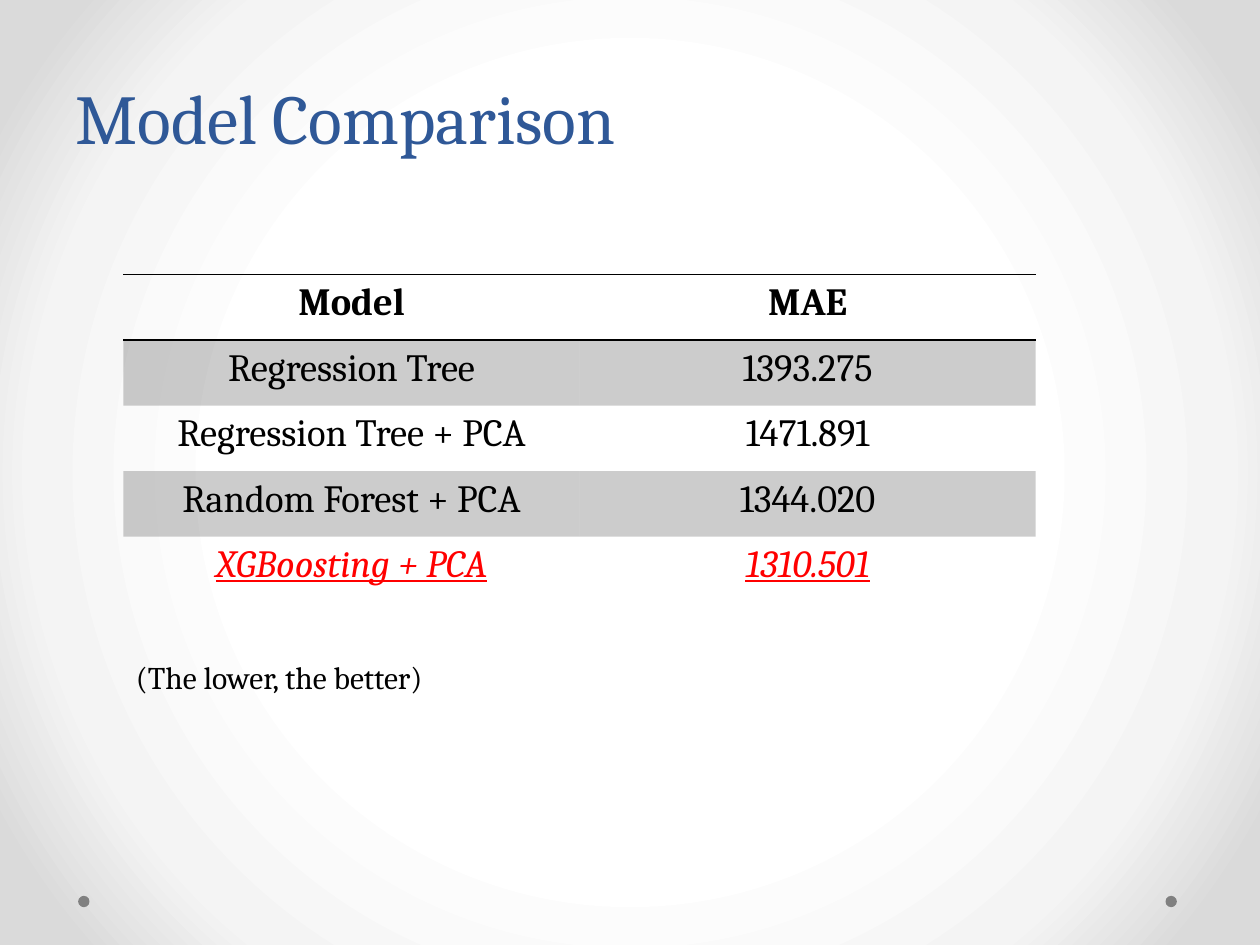
from pptx import Presentation
from pptx.dml.color import RGBColor
from pptx.enum.shapes import MSO_SHAPE
from pptx.enum.text import MSO_ANCHOR, PP_ALIGN
from pptx.oxml import parse_xml
from pptx.oxml.ns import nsdecls, qn
from pptx.util import Inches, Pt

OVAL = MSO_SHAPE.OVAL
BOTTOM = MSO_ANCHOR.BOTTOM
CENTER = PP_ALIGN.CENTER

FONT = "Cambria"
COLORS = {"title": "2F5897", "text": "000000", "best": "FF0000", "dot": "808080"}
BACKDROP = [(50, "FFFFFF"), (76, "F4F4F4"), (92, "DADADA")]
NO_STYLE = "{2D5ABB26-0587-4C30-8999-92F81FD0307C}"

TITLE = "Model Comparison"
NOTE = "(The lower, the better)"
RESULTS = [
    ("Model", "MAE"),
    ("Regression Tree", "1393.275"),
    ("Regression Tree + PCA", "1471.891"),
    ("Random Forest + PCA", "1344.020"),
    ("XGBoosting + PCA", "1310.501"),
]
COLUMN_WIDTH, ROW_HEIGHT = 3.62, 0.52
BAND_OPACITY = 20
DOT_LEFTS, DOT_TOP, DOT_SIZE = (9.25, 0.62), 7.11, 0.09


def style_text(paragraph, size, color):
    font = paragraph.runs[0].font
    font.name, font.size = FONT, Pt(size)
    font.color.rgb = RGBColor.from_string(COLORS[color])
    return font


def add_text(slide, text, box, size, color):
    frame = slide.shapes.add_textbox(*map(Inches, box)).text_frame
    frame.word_wrap = True
    frame.text = text
    style_text(frame.paragraphs[0], size, color)
    return frame


def set_backdrop(slide):
    slide.background.fill.solid()
    properties = slide.element.find(".//" + qn("p:bgPr"))
    stops = "".join(
        f'<a:gs pos="{position * 1000}"><a:srgbClr val="{color}"/></a:gs>'
        for position, color in BACKDROP
    )
    gradient = parse_xml(
        f'<a:gradFill {nsdecls("a")} rotWithShape="1"><a:gsLst>{stops}</a:gsLst>'
        '<a:path path="circle"><a:fillToRect l="50000" t="50000" r="50000" b="50000"/>'
        "</a:path></a:gradFill>"
    )
    properties.replace(properties[0], gradient)


def rule_header(cell):
    # Borders come before the fill in the cell properties
    for index, side in enumerate(("lnT", "lnB")):
        border = parse_xml(
            f'<a:{side} {nsdecls("a")} w="{Pt(1)}"><a:solidFill>'
            f'<a:srgbClr val="{COLORS["text"]}"/></a:solidFill></a:{side}>'
        )
        cell._tc.get_or_add_tcPr().insert(index, border)


def shade_band(cell):
    cell.fill.solid()
    cell.fill.fore_color.rgb = RGBColor.from_string(COLORS["text"])
    color = cell._tc.tcPr.find(".//" + qn("a:srgbClr"))
    color.append(parse_xml(f'<a:alpha {nsdecls("a")} val="{BAND_OPACITY * 1000}"/>'))


def add_results(slide):
    rows, columns = len(RESULTS), len(RESULTS[0])
    table = slide.shapes.add_table(
        rows, columns, Inches(0.98), Inches(2.18),
        Inches(columns * COLUMN_WIDTH), Inches(rows * ROW_HEIGHT),
    ).table
    table._tbl.tblPr.find(qn("a:tableStyleId")).text = NO_STYLE
    for r, result in enumerate(RESULTS):
        header, best = r == 0, r == rows - 1
        for c, value in enumerate(result):
            cell = table.cell(r, c)
            cell.text = value
            paragraph = cell.text_frame.paragraphs[0]
            paragraph.alignment = CENTER
            font = style_text(paragraph, 22, "best" if best else "text")
            font.bold, font.italic, font.underline = header, best, best
            if r % 2:
                shade_band(cell)
            else:
                cell.fill.background()
            if header:
                rule_header(cell)


def main():
    prs = Presentation()
    prs.slide_width, prs.slide_height = Inches(10), Inches(7.5)
    slide = prs.slides.add_slide(prs.slide_layouts[6])
    set_backdrop(slide)

    # Footer dots
    for left in DOT_LEFTS:
        dot = slide.shapes.add_shape(
            OVAL, *map(Inches, (left, DOT_TOP, DOT_SIZE, DOT_SIZE)))
        dot.shadow.inherit = False
        dot.fill.solid()
        dot.fill.fore_color.rgb = RGBColor.from_string(COLORS["dot"])
        dot.line.fill.background()

    # Title, results table and reading note
    title = add_text(slide, TITLE, (0.5, 0, 9, 1.31), 40, "title")
    title.vertical_anchor = BOTTOM
    title.paragraphs[0].line_spacing = Pt(58)
    add_results(slide)
    add_text(slide, NOTE, (0.98, 5.17, 2.91, 0.4), 18, "text")

    prs.save("out.pptx")


if __name__ == "__main__":
    main()
